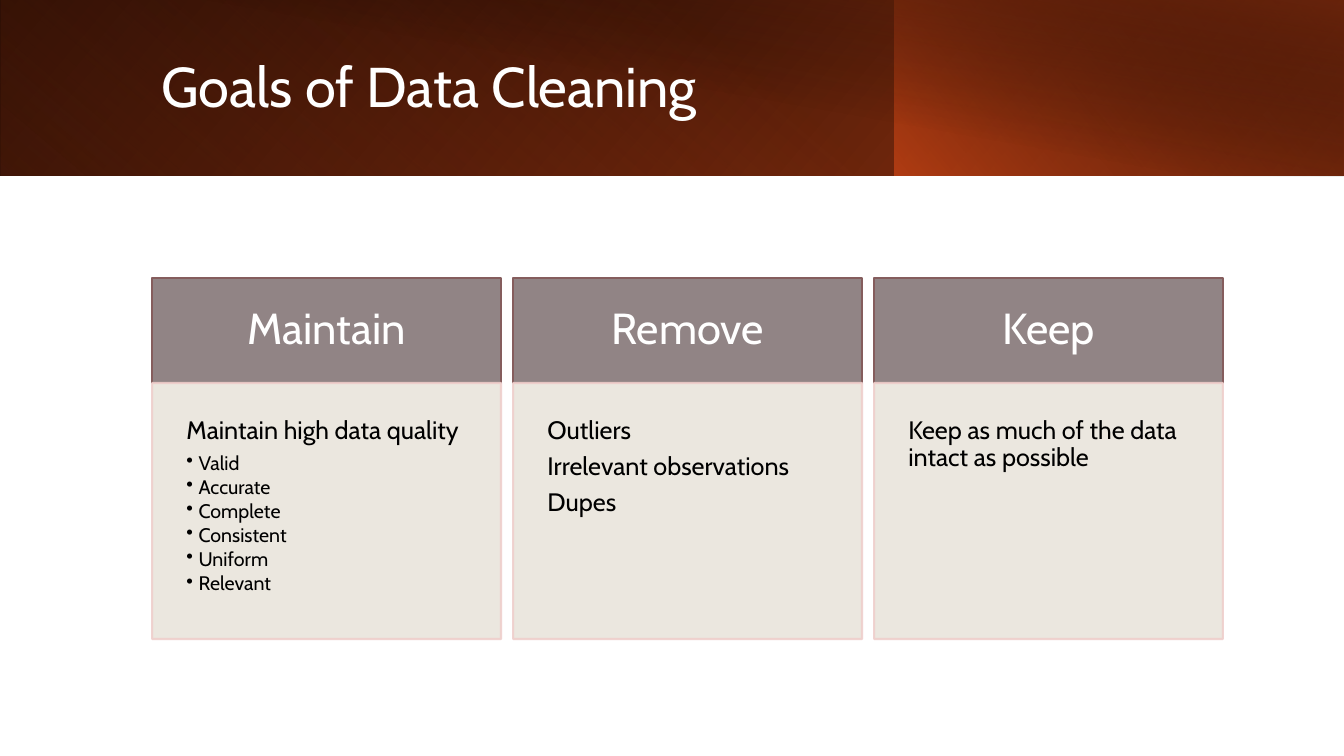
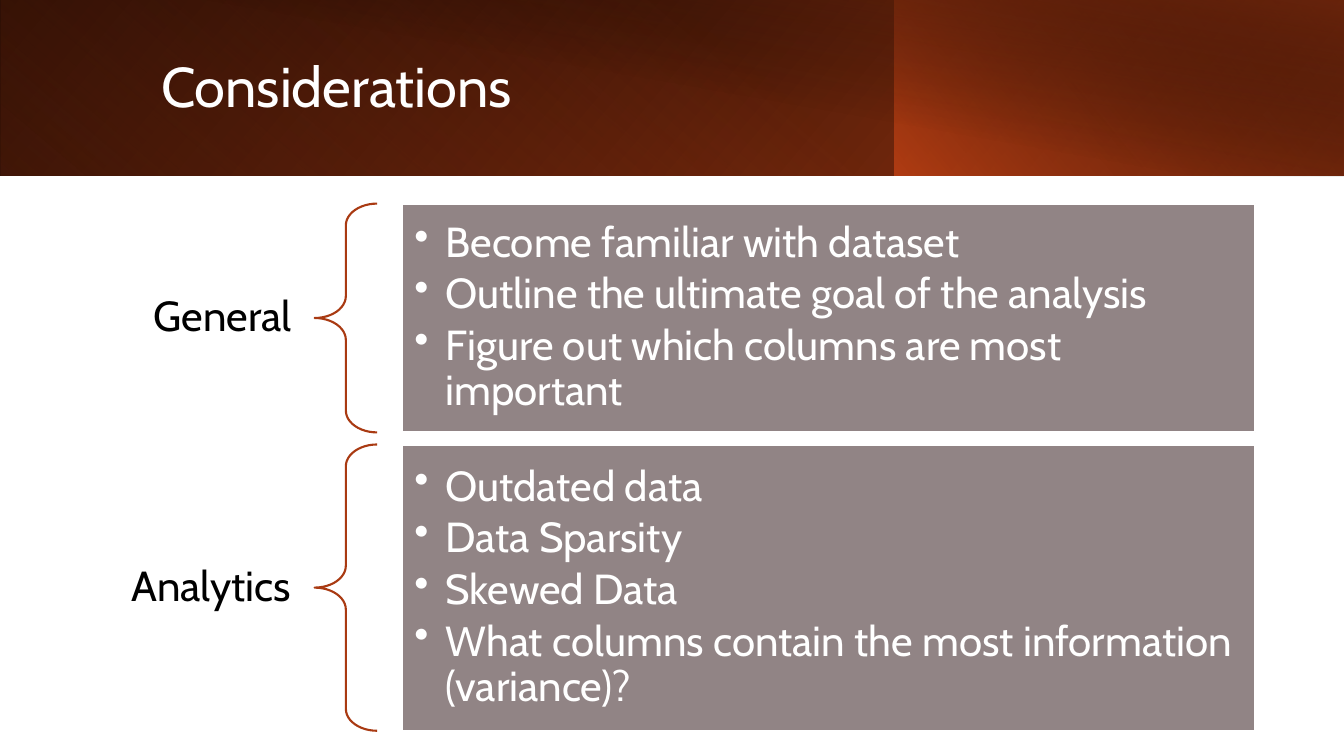
from lxml import etree
from pptx import Presentation
from pptx.dml.color import RGBColor
from pptx.enum.shapes import MSO_SHAPE
from pptx.enum.text import MSO_ANCHOR, PP_ALIGN
from pptx.oxml.ns import qn
from pptx.util import Inches, Pt

RECTANGLE = MSO_SHAPE.RECTANGLE
BRACE = MSO_SHAPE.LEFT_BRACE
TOP, MIDDLE = MSO_ANCHOR.TOP, MSO_ANCHOR.MIDDLE
LEFT, CENTER, RIGHT = PP_ALIGN.LEFT, PP_ALIGN.CENTER, PP_ALIGN.RIGHT

FONT = "Cabin"
WHITE, BLACK = "FFFFFF", "000000"
TAUPE, TAUPE_EDGE = "918485", "855D5D"
CREAM, PINK_EDGE = "E9E5DC", "EFCFCC"
ORANGE, RUST, BROWN, BRACE_LINE = "D34817", "9E3611", "69240C", "A93A12"

BANDS = [
    ((0, 0, 13.33, 1.74), [(0, BLACK, 100), (100, RUST, 100)], 140, True, 0),
    ((0, 0, 8.88, 1.74), [(20, ORANGE, 0), (100, BROWN, 55)], 230, True, 180),
    ((8.87, 0, 4.46, 1.74), [(0, ORANGE, 66), (100, BLACK, 30)], 220, True, 0),
    ((0.5, 0, 12.83, 1.75), [(50, BLACK, 0), (99, BROWN, 52)], 280, False, 0),
]

GOALS = [
    ("Maintain", ["Maintain high data quality"],
     ["Valid", "Accurate", "Complete", "Consistent", "Uniform", "Relevant"]),
    ("Remove", ["Outliers", "Irrelevant observations", "Dupes"], []),
    ("Keep", ["Keep as much of the data intact as possible"], []),
]

CONSIDERATIONS = [
    ("General", 2.27, [
        "Become familiar with dataset",
        "Outline the ultimate goal of the analysis",
        "Figure out which columns are most important",
    ]),
    ("Analytics", 2.84, [
        "Outdated data",
        "Data Sparsity",
        "Skewed Data",
        "What columns contain the most information (variance)?",
    ]),
]


def rgb(value):
    return RGBColor.from_string(value)


def apply(target, values):
    for name, value in values.items():
        setattr(target, name, value)


def add_alpha(parent, percent):
    for color in parent.iter(qn("a:srgbClr")):
        etree.SubElement(color, qn("a:alpha"), val=str(percent * 1000))


class Deck:
    def __init__(self):
        self.presentation = Presentation()
        apply(self.presentation, {"slide_width": Inches(13.33), "slide_height": Inches(7.5)})
        self.slide = None

    def start_slide(self, title):
        self.slide = self.presentation.slides.add_slide(self.presentation.slide_layouts[6])
        for band in BANDS:
            self.band(*band)
        self.text((1.5, 0.32, 10.82, 1.13), [title], 40, WHITE, insets=(0.1, 0.05))

    def shape(self, kind, box, fill=None, line=None, alpha=100):
        shape = self.slide.shapes.add_shape(kind, *map(Inches, box))
        shape.shadow.inherit = False
        if fill:
            shape.fill.solid()
            shape.fill.fore_color.rgb = rgb(fill)
        else:
            shape.fill.background()
        if line:
            shape.line.color.rgb = rgb(line)
            shape.line.width = Pt(1.5)
        else:
            shape.line.fill.background()
        if alpha < 100:
            add_alpha(shape._element.spPr, alpha)
        return shape

    def band(self, box, stops, angle, flipped, rotation):
        shape = self.shape(RECTANGLE, box)
        shape.rotation = rotation
        properties = shape._element.spPr
        if flipped:
            properties.xfrm.set("flipH", "1")
        gradient = etree.Element(qn("a:gradFill"), rotWithShape="1")
        stop_list = etree.SubElement(gradient, qn("a:gsLst"))
        for position, color, alpha in stops:
            stop = etree.SubElement(stop_list, qn("a:gs"), pos=str(position * 1000))
            etree.SubElement(stop, qn("a:srgbClr"), val=color)
            add_alpha(stop, alpha)
        etree.SubElement(gradient, qn("a:lin"), ang=str(angle * 60000), scaled="0")
        properties.replace(properties.find(qn("a:noFill")), gradient)

    def text(self, box, lines, size, color, **style):
        shape = self.slide.shapes.add_textbox(*map(Inches, box))
        self.fill_text(shape, lines, size, color, **style)

    def fill_text(self, shape, lines, size, color, align=LEFT, anchor=MIDDLE,
                  insets=(0.1, 0.05), bullet_indent=0):
        frame = shape.text_frame
        side, end = map(Inches, insets)
        apply(frame, {"word_wrap": True, "vertical_anchor": anchor,
                      "margin_left": side, "margin_right": side,
                      "margin_top": end, "margin_bottom": end})
        for line in lines:
            paragraph = frame.paragraphs[0] if not frame.text else frame.add_paragraph()
            self.paragraph(paragraph, line, size, color, align, bullet_indent)

    def paragraph(self, paragraph, text, size, color, align=LEFT, bullet_indent=0):
        gap = 0.15 if bullet_indent else 0.35
        apply(paragraph, {"alignment": align, "line_spacing": 0.9,
                          "space_after": Pt(size * gap)})
        run = paragraph.add_run()
        run.text = text
        apply(run.font, {"name": FONT, "size": Pt(size)})
        run.font.color.rgb = rgb(color)
        if bullet_indent:
            properties = paragraph._p.get_or_add_pPr()
            properties.set("marL", str(Inches(bullet_indent)))
            properties.set("indent", str(-Inches(bullet_indent)))
            etree.SubElement(properties, qn("a:buChar"), char="•")

    def goal_card(self, left, heading, lines, bullets):
        top, width, header_height = 2.76, 3.46, 1.04
        header = self.shape(RECTANGLE, (left, top, width, header_height), TAUPE, TAUPE_EDGE)
        self.fill_text(header, [heading], 31, WHITE, align=CENTER, insets=(0.27, 0.27))
        body = self.shape(RECTANGLE, (left, top + header_height, width, 2.54),
                          CREAM, PINK_EDGE, alpha=90)
        self.fill_text(body, lines, 18, BLACK, anchor=TOP, insets=(0.34, 0.34))
        for bullet in bullets:
            self.paragraph(body.text_frame.add_paragraph(), bullet, 14, BLACK,
                           bullet_indent=0.12)

    def consideration(self, top, height, label, bullets):
        label_height = 0.65
        self.text((0.01, top + (height - label_height) / 2, 3.11, label_height),
                  [label], 30, BLACK, align=RIGHT, insets=(0.23, 0.08))
        brace = self.shape(BRACE, (3.12, top, 0.62, height), line=BRACE_LINE)
        brace.adjustments[0] = 0.35
        brace.adjustments[1] = 0.5
        panel = self.shape(RECTANGLE, (3.99, top, 8.46, height), TAUPE, WHITE)
        self.fill_text(panel, bullets, 30, WHITE, insets=(0.12, 0.12), bullet_indent=0.31)


def main():
    deck = Deck()

    deck.start_slide("Goals of Data Cleaning")
    for column, goal in enumerate(GOALS):
        deck.goal_card(1.51 + column * 3.58, *goal)

    deck.start_slide("Considerations")
    top = 2.02
    for label, height, bullets in CONSIDERATIONS:
        deck.consideration(top, height, label, bullets)
        top += height + 0.12

    deck.presentation.save("out.pptx")


if __name__ == "__main__":
    main()
